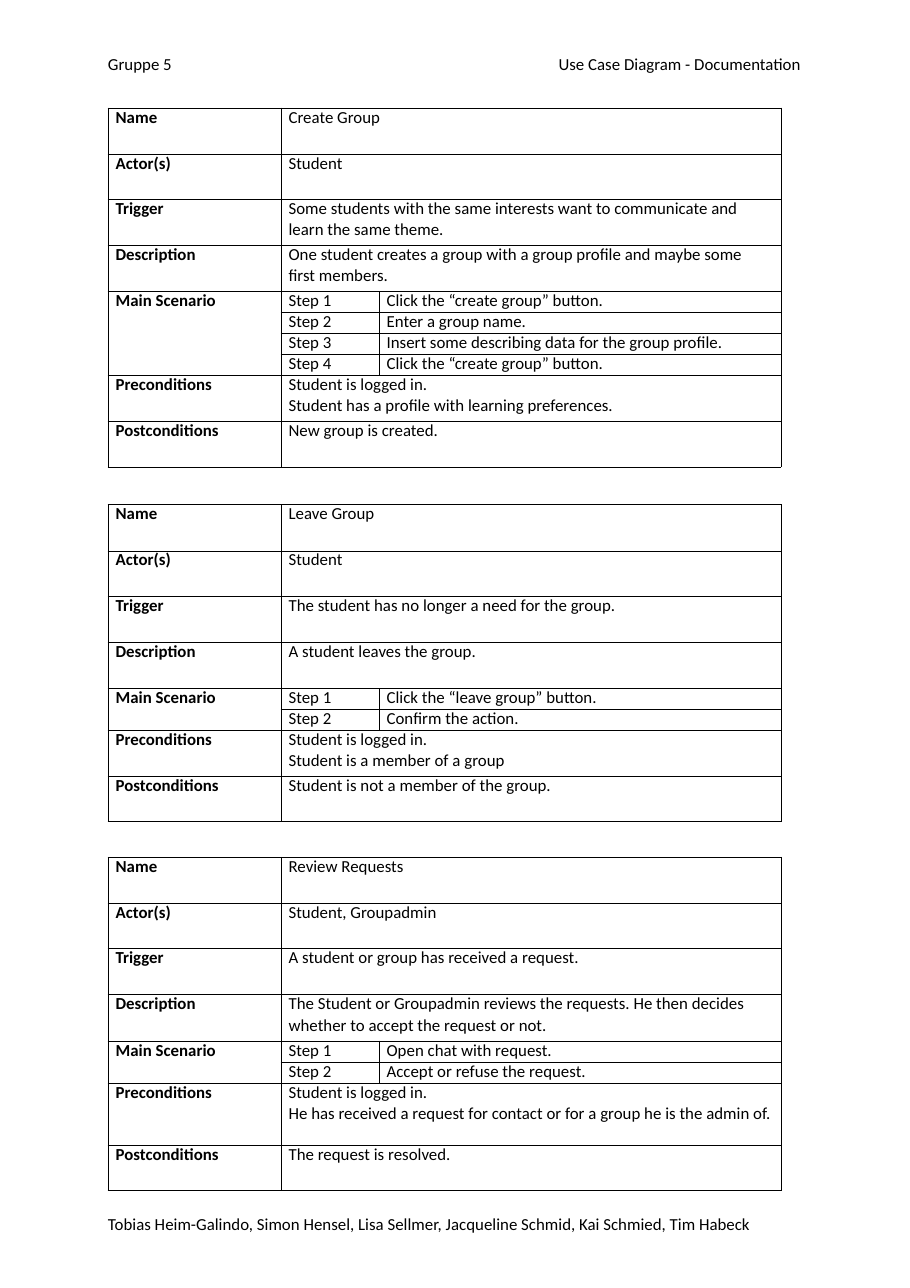
from lxml import etree
from pptx import Presentation
from pptx.dml.color import RGBColor
from pptx.enum.text import MSO_ANCHOR, MSO_AUTO_SIZE, PP_ALIGN
from pptx.oxml.ns import qn
from pptx.util import Inches, Pt

BLACK = RGBColor(0, 0, 0)
FONT = {"name": "Calibri", "size": Pt(11)}
MARGINS = ("margin_left", "margin_right", "margin_top", "margin_bottom")
COLS = [1.57, 0.89, 3.65]
LEFT = 0.98

# Each use case: top edge, then label -> lines (Main Scenario lists its steps)
USE_CASES = [
    (0.98, {
        "Name": ["Create Group"],
        "Actor(s)": ["Student"],
        "Trigger": ["Some students with the same interests want to communicate and",
                    "learn the same theme."],
        "Description": ["One student creates a group with a group profile and maybe some",
                        "first members."],
        "Main Scenario": ["Click the “create group” button.",
                          "Enter a group name.",
                          "Insert some describing data for the group profile.",
                          "Click the “create group” button."],
        "Preconditions": ["Student is logged in.",
                          "Student has a profile with learning preferences."],
        "Postconditions": ["New group is created."],
    }),
    (4.58, {
        "Name": ["Leave Group"],
        "Actor(s)": ["Student"],
        "Trigger": ["The student has no longer a need for the group."],
        "Description": ["A student leaves the group."],
        "Main Scenario": ["Click the “leave group” button.", "Confirm the action."],
        "Preconditions": ["Student is logged in.", "Student is a member of a group"],
        "Postconditions": ["Student is not a member of the group."],
    }),
    (7.78, {
        "Name": ["Review Requests"],
        "Actor(s)": ["Student, Groupadmin"],
        "Trigger": ["A student or group has received a request."],
        "Description": ["The Student or Groupadmin reviews the requests. He then decides",
                        "whether to accept the request or not."],
        "Main Scenario": ["Open chat with request.", "Accept or refuse the request."],
        "Preconditions": ["Student is logged in.",
                          "He has received a request for contact or for a group he is the admin of."],
        "Postconditions": ["The request is resolved."],
    }),
]
ROW_HEIGHTS = {"Actor(s)": 0.41, "Postconditions": 0.41}


def write(tf, lines, bold=False):
    for i, line in enumerate(lines):
        p = tf.paragraphs[0] if i == 0 else tf.add_paragraph()
        p.alignment = PP_ALIGN.LEFT
        p.line_spacing = Pt(12.9) if i == 0 else 1.02
        r = p.add_run()
        r.text = line
        for key, value in FONT.items():
            setattr(r.font, key, value)
        r.font.bold = bold
        r.font.color.rgb = BLACK


def format_cell(cell):
    tc_pr = cell._tc.get_or_add_tcPr()
    for side in ("a:lnL", "a:lnR", "a:lnT", "a:lnB"):
        ln = etree.SubElement(tc_pr, qn(side), w=str(Pt(0.5)))
        fill = etree.SubElement(ln, qn("a:solidFill"))
        etree.SubElement(fill, qn("a:srgbClr"), val=str(BLACK))
    cell.fill.background()
    for margin in MARGINS:
        setattr(cell, margin, 0)
    cell.margin_left = Inches(0.07)


prs = Presentation()
prs.slide_width, prs.slide_height = Inches(8.26), Inches(11.69)
s = prs.slides.add_slide(prs.slide_layouts[5])

# Page header and footer
title = s.shapes.title
group = s.shapes.add_textbox(0, 0, 0, 0)
authors = s.shapes.add_textbox(0, 0, 0, 0)
for sp, box, text in (
    (title, (5.07, 0.49, 2.23, 0.2), "Use Case Diagram - Documentation"),
    (group, (0.98, 0.49, 0.61, 0.2), "Gruppe 5"),
    (authors, (0.98, 11.02, 5.88, 0.2),
     "Tobias Heim-Galindo, Simon Hensel, Lisa Sellmer, Jacqueline Schmid, Kai Schmied, Tim Habeck"),
):
    sp.left, sp.top, sp.width, sp.height = map(Inches, box)
    tf = sp.text_frame
    for margin in MARGINS:
        setattr(tf, margin, 0)
    tf.auto_size = MSO_AUTO_SIZE.NONE
    tf.word_wrap = False
    tf.vertical_anchor = MSO_ANCHOR.TOP
    write(tf, [text])

# Use case tables
for top, fields in USE_CASES:
    rows = []
    for label, lines in fields.items():
        if label == "Main Scenario":
            rows += [(0.19, label, [f"Step {n}"], [step]) for n, step in enumerate(lines, 1)]
        else:
            height = 0.57 if len(lines[-1]) > 70 else ROW_HEIGHTS.get(label, 0.42)
            rows.append((height, label, lines, None))

    frame = s.shapes.add_table(len(rows), len(COLS), Inches(LEFT), Inches(top),
                               Inches(sum(COLS)), Inches(sum(row[0] for row in rows)))
    table = frame.table
    table.first_row = table.horz_banding = False
    for col, width in zip(table.columns, COLS):
        col.width = Inches(width)
    for cell in table.iter_cells():
        format_cell(cell)

    first_step = list(fields).index("Main Scenario")
    last_step = first_step + len(fields["Main Scenario"]) - 1
    table.cell(first_step, 0).merge(table.cell(last_step, 0))

    for i, (height, label, lines, step) in enumerate(rows):
        table.rows[i].height = Inches(height)
        if not table.cell(i, 0).is_spanned:
            write(table.cell(i, 0).text_frame, [label], bold=True)
        write(table.cell(i, 1).text_frame, lines)
        if step:
            write(table.cell(i, 2).text_frame, step)
        else:
            table.cell(i, 1).merge(table.cell(i, 2))

prs.save("out.pptx")
